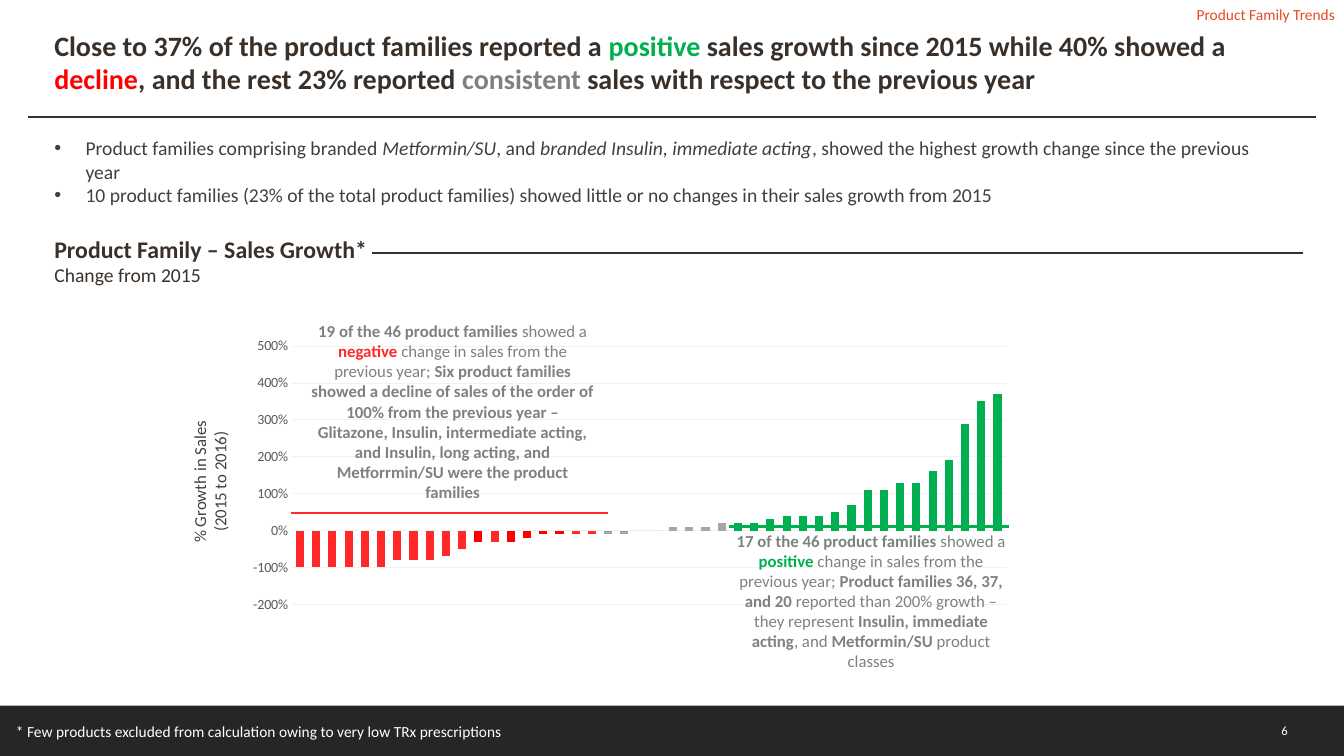
from dataclasses import dataclass

from lxml.etree import SubElement
from pptx import Presentation
from pptx.chart.data import CategoryChartData
from pptx.dml.color import RGBColor
from pptx.enum.chart import XL_CHART_TYPE, XL_TICK_MARK
from pptx.enum.shapes import MSO_CONNECTOR, MSO_SHAPE
from pptx.enum.text import MSO_ANCHOR, PP_ALIGN
from pptx.oxml.ns import qn
from pptx.util import Pt

EMU_PER_PX = 9144


def px(length):
    return length * EMU_PER_PX


@dataclass(frozen=True)
class Theme:
    font: str = "Calibri"
    ink: str = "39302A"
    body: str = "404040"
    muted: str = "808080"
    axis: str = "595959"
    grid: str = "F2F2F2"
    footer: str = "262626"
    white: str = "FFFFFF"
    accent: str = "E64823"
    red: str = "FF0000"
    soft_red: str = "FF2929"
    green: str = "00B050"
    neutral: str = "A6A6A6"
    title_size: int = 20
    heading_size: int = 17
    body_size: int = 14
    note_size: int = 12
    label_size: int = 11
    axis_size: int = 10
    page_size: int = 9


@dataclass(frozen=True)
class Span:
    """A stretch of text; unset colour and size fall back to those of its box."""
    text: str
    color: str = ""
    bold: bool = False
    italic: bool = False
    size: int = 0


class SlideBuilder:
    def __init__(self, slide, theme):
        self.slide = slide
        self.theme = theme

    def bar(self, left, top, width, height, color):
        shape = self.slide.shapes.add_shape(
            MSO_SHAPE.RECTANGLE, px(left), px(top), px(width), px(height))
        shape.shadow.inherit = False
        shape.fill.solid()
        shape.fill.fore_color.rgb = RGBColor.from_string(color)
        shape.line.fill.background()

    def rule(self, left, right, y, color, weight):
        line = self.slide.shapes.add_connector(
            MSO_CONNECTOR.STRAIGHT, px(left), px(y), px(right), px(y))
        line.line.color.rgb = RGBColor.from_string(color)
        line.line.width = Pt(weight)
        SubElement(line._element.spPr, qn("a:effectLst"))

    def text(self, box, paragraphs, size, color, align=PP_ALIGN.LEFT,
             anchor=MSO_ANCHOR.TOP, rotation=0, bulleted=False):
        shape = self.slide.shapes.add_textbox(*map(px, box))
        shape.rotation = rotation
        frame = shape.text_frame
        frame.word_wrap = True
        frame.vertical_anchor = anchor
        for index, spans in enumerate(paragraphs):
            paragraph = frame.add_paragraph() if index else frame.paragraphs[0]
            paragraph.alignment = align
            if bulleted:
                self.bullet(paragraph)
            for span in spans:
                run = paragraph.add_run()
                run.text = span.text
                run.font.name = self.theme.font
                run.font.size = Pt(span.size or size)
                run.font.bold = span.bold
                run.font.italic = span.italic
                run.font.color.rgb = RGBColor.from_string(span.color or color)

    def bullet(self, paragraph):
        properties = paragraph._p.get_or_add_pPr()
        properties.set("marL", str(px(31)))
        properties.set("indent", str(-px(31)))
        SubElement(properties, qn("a:buFont"), typeface="Arial")
        SubElement(properties, qn("a:buChar"), char="•")

    def growth_chart(self, box, values, point_colors, plot_area):
        data = CategoryChartData(number_format="0%")
        data.categories = [str(number) for number in range(1, len(values) + 1)]
        data.add_series("Sales growth", values)
        chart = self.slide.shapes.add_chart(
            XL_CHART_TYPE.COLUMN_CLUSTERED, *map(px, box), data).chart
        chart.has_legend = False
        chart.has_title = False
        chart.font.name = self.theme.font
        chart.font.size = Pt(self.theme.axis_size)
        chart.category_axis.visible = False
        self.style_value_axis(chart.value_axis)

        plot = chart.plots[0]
        plot.gap_width = 100
        plot.overlap = -27
        plot.vary_by_categories = False
        series = plot.series[0]
        series.invert_if_negative = False
        series.format.fill.solid()
        series.format.fill.fore_color.rgb = RGBColor.from_string(self.theme.soft_red)
        for index, color in point_colors.items():
            fill = series.points[index].format.fill
            fill.solid()
            fill.fore_color.rgb = RGBColor.from_string(color)
        self.place_plot_area(chart, plot_area)

    def style_value_axis(self, axis):
        axis.minimum_scale = -2
        axis.maximum_scale = 5
        axis.major_unit = 1
        axis.major_tick_mark = XL_TICK_MARK.NONE
        axis.minor_tick_mark = XL_TICK_MARK.NONE
        axis.format.line.fill.background()
        axis.major_gridlines.format.line.color.rgb = RGBColor.from_string(self.theme.grid)
        axis.major_gridlines.format.line.width = Pt(0.5)
        labels = axis.tick_labels
        labels.number_format = "0%"
        labels.number_format_is_linked = False
        labels.font.name = self.theme.font
        labels.font.size = Pt(self.theme.axis_size)
        labels.font.color.rgb = RGBColor.from_string(self.theme.axis)

    def place_plot_area(self, chart, fractions):
        """Fix the inner plot area as (x, y, width, height) fractions of the chart."""
        area = chart._chartSpace.chart.plotArea
        for layout in area.findall(qn("c:layout")):
            area.remove(layout)
        layout = SubElement(area, qn("c:layout"))
        area.insert(0, layout)
        manual = SubElement(layout, qn("c:manualLayout"))
        settings = [("layoutTarget", "inner"), ("xMode", "edge"), ("yMode", "edge")]
        settings += zip("xywh", fractions)
        for tag, value in settings:
            SubElement(manual, qn(f"c:{tag}"), val=str(value))


def main():
    presentation = Presentation()
    presentation.slide_width = px(1333)
    presentation.slide_height = px(750)
    theme = Theme()
    builder = SlideBuilder(
        presentation.slides.add_slide(presentation.slide_layouts[6]), theme)

    builder.bar(0, 700, 1333, 50, theme.footer)
    builder.text((44, 23, 1261, 77), [[
        Span("Close to 37% of the product families reported a ", bold=True),
        Span("positive", theme.green, bold=True),
        Span(" sales growth since 2015 while 40% showed a ", bold=True),
        Span("decline", theme.red, bold=True),
        Span(", and the rest 23% reported ", bold=True),
        Span("consistent", theme.muted, bold=True),
        Span(" sales with respect to the previous year", bold=True),
    ]], theme.title_size, theme.ink)
    builder.rule(28, 1305, 116, theme.ink, 1)
    builder.text((1202, 705, 85, 40), [[Span("6")]], theme.page_size, theme.white,
                 PP_ALIGN.RIGHT, MSO_ANCHOR.MIDDLE)
    builder.text((1107, 0, 227, 29), [[Span("Product Family Trends")]],
                 theme.label_size, theme.accent, PP_ALIGN.RIGHT)
    builder.text((44, 228, 688, 62), [
        [Span("Product Family – Sales Growth*", bold=True, size=theme.heading_size)],
        [Span("Change from 2015")],
    ], theme.body_size, theme.ink)
    builder.rule(369, 1292, 251, theme.ink, 1.5)
    builder.text((6, 711, 887, 29), [[Span(
        "* Few products excluded from calculation owing to very low TRx prescriptions")]],
        theme.label_size, theme.white)

    growth = [-1, -1, -1, -1, -1, -1, -0.8, -0.8, -0.8, -0.7, -0.5,
              -0.3, -0.3, -0.3, -0.2, -0.1, -0.1, -0.1, -0.1, -0.1, -0.1,
              0, 0, 0.1, 0.1, 0.1, 0.2, 0.2, 0.2, 0.3, 0.4, 0.4, 0.4, 0.5,
              0.7, 1.1, 1.1, 1.3, 1.3, 1.6, 1.9, 2.9, 3.5, 3.7]
    point_colors = dict.fromkeys([11, 13, 14, 15, 16], theme.red)
    point_colors |= dict.fromkeys(range(19, 27), theme.neutral)
    point_colors |= dict.fromkeys(range(27, len(growth)), theme.green)
    builder.growth_chart((235, 329, 778, 285), growth, point_colors,
                         (0.07, 0.05, 0.91, 0.9))
    builder.rule(289, 603, 509, theme.soft_red, 1.5)
    builder.rule(723, 1001, 522, theme.green, 2)
    builder.text((71, 453, 274, 50), [[Span("% Growth in Sales")], [Span("(2015 to 2016)")]],
                 theme.note_size, theme.body, PP_ALIGN.CENTER, rotation=270)

    increase = [
        Span("17 of the 46 product families ", bold=True),
        Span("showed a "),
        Span("positive ", theme.green, bold=True),
        Span("change in sales from the previous year; "),
        Span("Product families 36, 37, and 20 ", bold=True),
        Span("reported than 200% growth – they represent "),
        Span("Insulin, immediate acting", bold=True),
        Span(", and "),
        Span("Metformin/SU ", bold=True),
        Span("product classes"),
    ]
    decrease = [
        Span("19 of the 46 product families ", bold=True),
        Span("showed a "),
        Span("negative ", theme.soft_red, bold=True),
        Span("change in sales from the previous year; "),
        Span("Six product families showed a decline of sales of the order of 100% "
             "from the previous year – Glitazone, Insulin, intermediate acting, and "
             "Insulin, long acting, and Metforrmin/SU were the product families", bold=True),
    ]
    for left, top, spans in [(714, 510, increase), (299, 322, decrease)]:
        builder.text((left, top, 300, 172), [spans], theme.note_size, theme.muted,
                     PP_ALIGN.CENTER, MSO_ANCHOR.MIDDLE)

    builder.text((44, 130, 1230, 81), [
        [Span("Product families comprising branded "),
         Span("Metformin/SU", italic=True),
         Span(", and "),
         Span("branded Insulin, immediate acting", italic=True),
         Span(", showed the highest growth change since the previous year")],
        [Span("10 product families (23% of the total product families) showed "
              "little or no changes in their sales growth from 2015")],
    ], theme.body_size, theme.body, bulleted=True)
    presentation.save("out.pptx")


if __name__ == "__main__":
    main()
